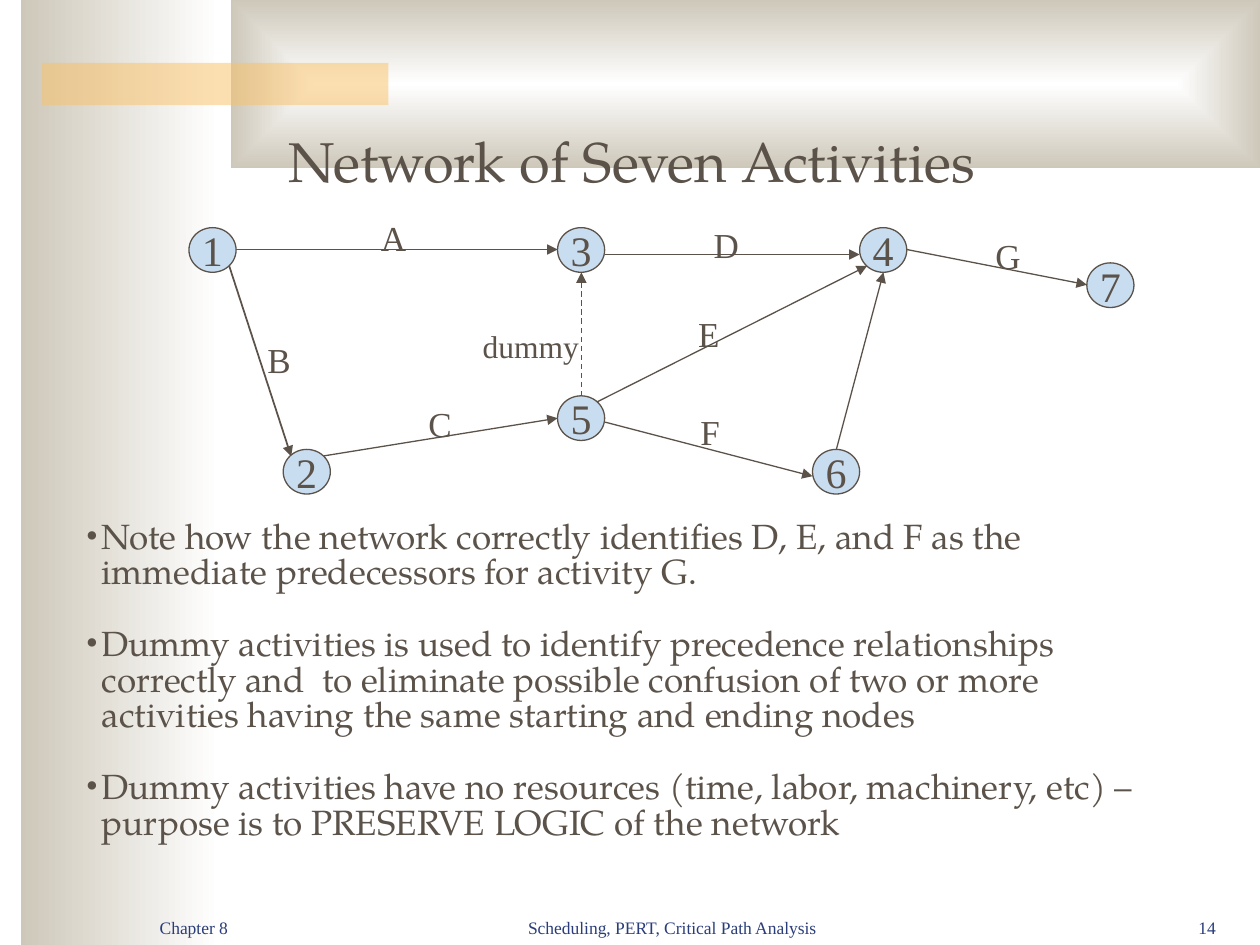
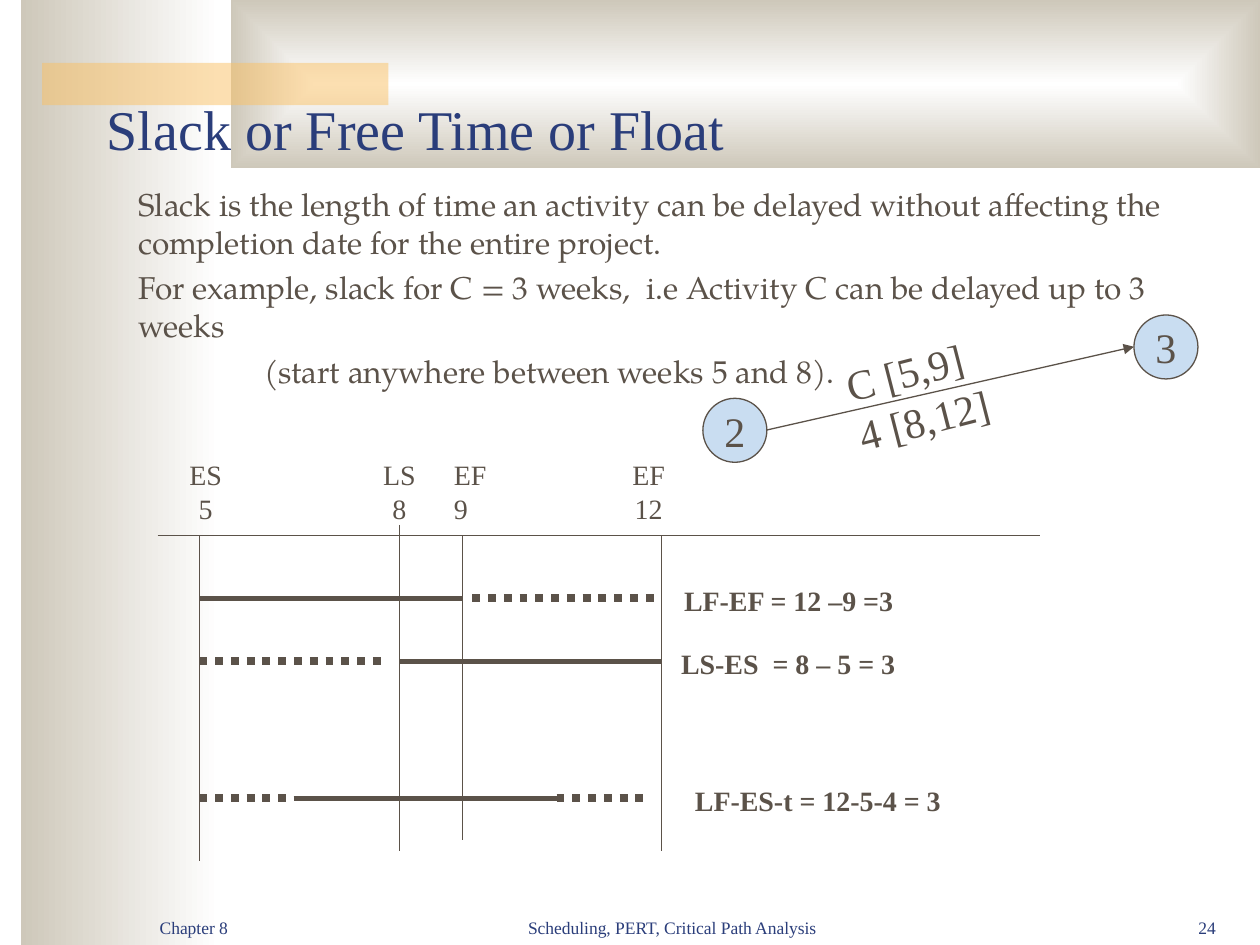
from dataclasses import dataclass

from lxml import etree
from pptx import Presentation
from pptx.dml.color import RGBColor
from pptx.enum import dml, shapes, text
from pptx.oxml import parse_xml
from pptx.oxml.ns import nsdecls, qn
from pptx.util import Cm, Pt


@dataclass(frozen=True)
class Theme:
    ink: str = "5B5249"
    navy: str = "2A3D7A"
    node: str = "C9DDF1"
    sand: str = "CEC8BA"
    amber: str = "FAC164"
    white: str = "FFFFFF"
    serif: str = "Times New Roman"
    book: str = "TeX Gyre Pagella"
    title: int = 32
    large: int = 24
    medium: int = 20
    body: int = 18
    small: int = 16
    footer: int = 10


theme = Theme()
LEFT, CENTER, RIGHT = text.PP_ALIGN.LEFT, text.PP_ALIGN.CENTER, text.PP_ALIGN.RIGHT
TOP, MIDDLE, BOTTOM = text.MSO_ANCHOR.TOP, text.MSO_ANCHOR.MIDDLE, text.MSO_ANCHOR.BOTTOM
DASH, DOTS = dml.MSO_LINE.DASH, dml.MSO_LINE.ROUND_DOT


def write(shape, content, size=theme.small, font=theme.serif, color=theme.ink, bold=False,
          align=LEFT, anchor=TOP, wrap=True, before=0, spacing=None,
          margins=(0,), hanging=0, bullet=None):
    frame = shape.text_frame
    frame.auto_size = text.MSO_AUTO_SIZE.NONE
    frame.word_wrap = wrap
    frame.vertical_anchor = anchor
    for index, line in enumerate(content.split("\n")):
        paragraph = frame.add_paragraph() if index else frame.paragraphs[0]
        paragraph.alignment = align
        properties = paragraph._p.get_or_add_pPr()
        properties.set("marL", str(Cm(margins[index % len(margins)])))
        properties.set("indent", str(Cm(-hanging)))
        if bullet:
            etree.SubElement(properties, qn("a:buFont")).set("typeface", theme.serif)
            etree.SubElement(properties, qn("a:buChar")).set("char", bullet)
        if index and before:
            paragraph.space_before = Pt(before)
        if spacing:
            paragraph.line_spacing = spacing
        run = paragraph.add_run()
        run.text = line
        run.font.size = Pt(size)
        run.font.name = font
        run.font.bold = bold
        run.font.color.rgb = RGBColor.from_string(color)


def draw_line(slide, start, end, width=0.75, dash=None, arrow=False):
    connector = slide.shapes.add_connector(
        shapes.MSO_CONNECTOR.STRAIGHT, *[Cm(value) for value in (*start, *end)])
    connector.line.color.rgb = RGBColor.from_string(theme.ink)
    connector.line.width = Pt(width)
    if dash:
        connector.line.dash_style = dash
    if arrow:
        outline = connector.line._get_or_add_ln()
        etree.SubElement(outline, qn("a:tailEnd")).set("type", "triangle")
    etree.SubElement(connector.element.spPr, qn("a:effectLst"))


presentation = Presentation()
presentation.slide_width, presentation.slide_height = Cm(25.4), Cm(19.05)
title_only = presentation.slide_layouts[5]
network_slide = presentation.slides.add_slide(title_only)
slack_slide = presentation.slides.add_slide(title_only)

gradient = (
    f'<a:gradFill {nsdecls("a")} rotWithShape="1"><a:gsLst>'
    f'<a:gs pos="0"><a:srgbClr val="{theme.white}"/></a:gs>'
    f'<a:gs pos="100000"><a:srgbClr val="{theme.sand}"/></a:gs>'
    '</a:gsLst>{}</a:gradFill>')
linear = '<a:lin ang="10800000" scaled="0"/>'
rectangular = ('<a:path path="rect"><a:fillToRect l="50000" t="50000" '
               'r="50000" b="50000"/></a:path>')
bands = [
    ((0.42, 0, 4.02, 19.05), linear),
    ((4.66, 0, 20.74, 3.39), rectangular),
    ((0.85, 1.27, 6.98, 0.85), None),
]
for slide in (network_slide, slack_slide):
    for index, (box, shading) in enumerate(bands):
        band = slide.shapes.add_shape(
            shapes.MSO_SHAPE.RECTANGLE, *[Cm(value) for value in box])
        band.shadow.inherit = False
        band.line.fill.background()
        band.fill.solid()
        band.fill.fore_color.rgb = RGBColor.from_string(theme.amber)
        solid = band.element.spPr.find(qn("a:solidFill"))
        if shading:
            band.element.spPr.replace(solid, parse_xml(gradient.format(shading)))
        else:
            etree.SubElement(solid[0], qn("a:alpha")).set("val", "50000")
        slide.shapes.element.insert(2 + index, band.element)

titles = [
    (network_slide, "Network of Seven Activities", (5.07, 2.42, 15.34, 1.63),
     dict(font=theme.book, align=CENTER, wrap=False)),
    (slack_slide, "Slack or Free Time or Float", (1.9, 1.48, 21.59, 1.9),
     dict(color=theme.navy, anchor=BOTTOM)),
]
for slide, content, box, style in titles:
    title = slide.shapes.title
    title.left, title.top, title.width, title.height = [Cm(value) for value in box]
    write(title, content, size=theme.title, **style)

network_notes = "\n".join([
    "Note how the network correctly identifies D, E, and F as the immediate predecessors "
    "for activity G.",
    "Dummy activities is used to identify precedence relationships correctly and  to "
    "eliminate possible confusion of two or more activities having the same starting and "
    "ending nodes",
    "Dummy activities have no resources (time, labor, machinery, etc) – purpose is to "
    "PRESERVE LOGIC of the network",
])
slack_notes = "\n".join([
    "Slack is the length of time an activity can be delayed without affecting the "
    "completion date for the entire project.",
    "For example, slack for C = 3 weeks,  i.e Activity C can be delayed up to 3 weeks",
    "(start anywhere between weeks 5 and 8).",
])
notes = [
    (network_slide, network_notes, (1.48, 10.37, 22.65, 6.98),
     dict(size=theme.medium, spacing=0.85, before=20.5, margins=(0.32,), hanging=0.32,
          bullet="•")),
    (slack_slide, slack_notes, (1.27, 3.6, 23.06, 6),
     dict(size=theme.body, before=4.5, margins=(1.27, 1.27, 3.81))),
]
for slide, content, box, style in notes:
    note = slide.shapes.add_textbox(*[Cm(value) for value in box])
    write(note, content, font=theme.book, **style)

activities = [
    ((4.76, 5.03), (11.24, 5.03), 0.75, None),
    ((4.62, 5.36), (5.87, 9.2), 1, None),
    ((6.53, 9.19), (11.24, 8.43), 0.75, None),
    ((12.2, 5.13), (17.33, 5.13), 1, None),
    ((12.04, 8.1), (17.48, 5.36), 0.75, None),
    ((12.2, 8.51), (16.38, 9.6), 0.75, None),
    ((18.28, 5.03), (21.91, 5.74), 0.75, None),
    ((16.86, 9.06), (17.81, 5.49), 0.75, None),
    ((11.72, 7.98), (11.72, 5.49), 0.75, DASH),
]
for start, end, width, dash in activities:
    draw_line(network_slide, start, end, width, dash, arrow=True)
draw_line(slack_slide, (15.45, 8.67), (22.86, 6.99), arrow=True)

event, milestone = shapes.MSO_SHAPE.OVAL, shapes.MSO_SHAPE.FLOWCHART_CONNECTOR
nodes = [
    (network_slide, event, 0.95, 0.9, [
        ("1", 3.81, 4.59), ("2", 5.71, 9.06), ("3", 11.24, 4.59), ("4", 17.33, 4.59),
        ("5", 11.24, 7.98), ("6", 16.38, 9.06), ("7", 21.91, 5.3)]),
    (slack_slide, milestone, 1.29, 1.29, [("2", 14.17, 8.03), ("3", 22.86, 6.35)]),
]
for slide, kind, width, height, places in nodes:
    for number, left, top in places:
        node = slide.shapes.add_shape(kind, Cm(left), Cm(top), Cm(width), Cm(height))
        node.shadow.inherit = False
        node.fill.solid()
        node.fill.fore_color.rgb = RGBColor.from_string(theme.node)
        node.line.color.rgb = RGBColor.from_string(theme.ink)
        node.line.width = Pt(0.75)
        write(node, number, size=theme.large, align=CENTER, anchor=MIDDLE, wrap=False)

activity_labels = [
    ("A", 7.45, 4.24, 0.97, theme.medium), ("B", 5.14, 6.7, 0.97, theme.medium),
    ("C", 8.39, 7.98, 0.97, theme.medium), ("D", 14.13, 4.38, 1.02, theme.medium),
    ("E", 13.82, 6.17, 0.94, theme.medium), ("F", 13.87, 8.16, 0.89, theme.medium),
    ("G", 19.81, 4.6, 1.02, theme.medium), ("dummy", 9.48, 6.47, 2.44, theme.body),
]
for content, left, top, width, size in activity_labels:
    label = network_slide.shapes.add_textbox(Cm(left), Cm(top), Cm(width), Cm(1.12))
    write(label, content, size=size, align=CENTER, wrap=False)

axis = 10.8
draw_line(slack_slide, (3.18, axis), (20.96, axis))
weeks = [
    ("ES\n5", 4.02, axis, 17.36, 3.56, 1.17, CENTER),
    ("LS\n8", 8.05, 10.58, 17.15, 7.2, 1.7, CENTER),
    ("EF\n9", 9.32, axis, 16.93, 8.9, 1.17, LEFT),
    ("EF\n12", 13.34, axis, 17.15, 12.49, 1.17, CENTER),
]
for content, x, top, bottom, left, width, align in weeks:
    draw_line(slack_slide, (x, top), (x, bottom))
    heading = slack_slide.shapes.add_textbox(Cm(left), Cm(9.1), Cm(width), Cm(1.63))
    write(heading, content, align=align, wrap=False)

schedules = [
    (12.06, "LF-EF = 12 –9 =3", 13.54,
     [(4.02, 9.32, None), (9.52, 13.33, DOTS)]),
    (13.33, "LS-ES  = 8 – 5 = 3", 13.48,
     [(4.02, 7.82, DOTS), (8.05, 13.34, None)]),
    (16.09, "LF-ES-t = 12-5-4 = 3", 13.76,
     [(4.02, 5.92, DOTS), (5.92, 11.22, None), (11.22, 13.12, DOTS)]),
]
for y, content, left, bars in schedules:
    for start, end, dash in bars:
        draw_line(slack_slide, (start, y), (end, y), 4.5 if dash else 3, dash)
    result = slack_slide.shapes.add_textbox(Cm(left), Cm(y - 0.42), Cm(7.2), Cm(0.94))
    write(result, content, bold=True)

times = slack_slide.shapes.add_textbox(Cm(16.9), Cm(6.78), Cm(3.43), Cm(2.29))
times.rotation = -14.5
write(times, "C [5,9]\n4 [8,12]", size=theme.large)

for slide, number in ((network_slide, "14"), (slack_slide, "24")):
    footers = [
        ("Chapter 8", 2.97, 5.29, LEFT),
        ("Scheduling, PERT, Critical Path Analysis", 9.53, 8.04, CENTER),
        (number, 22.22, 2.54, RIGHT),
    ]
    for content, left, width, align in footers:
        footer = slide.shapes.add_textbox(Cm(left), Cm(17.77), Cm(width), Cm(1.27))
        write(footer, content, size=theme.footer, color=theme.navy, align=align, anchor=BOTTOM)

presentation.save("out.pptx")
